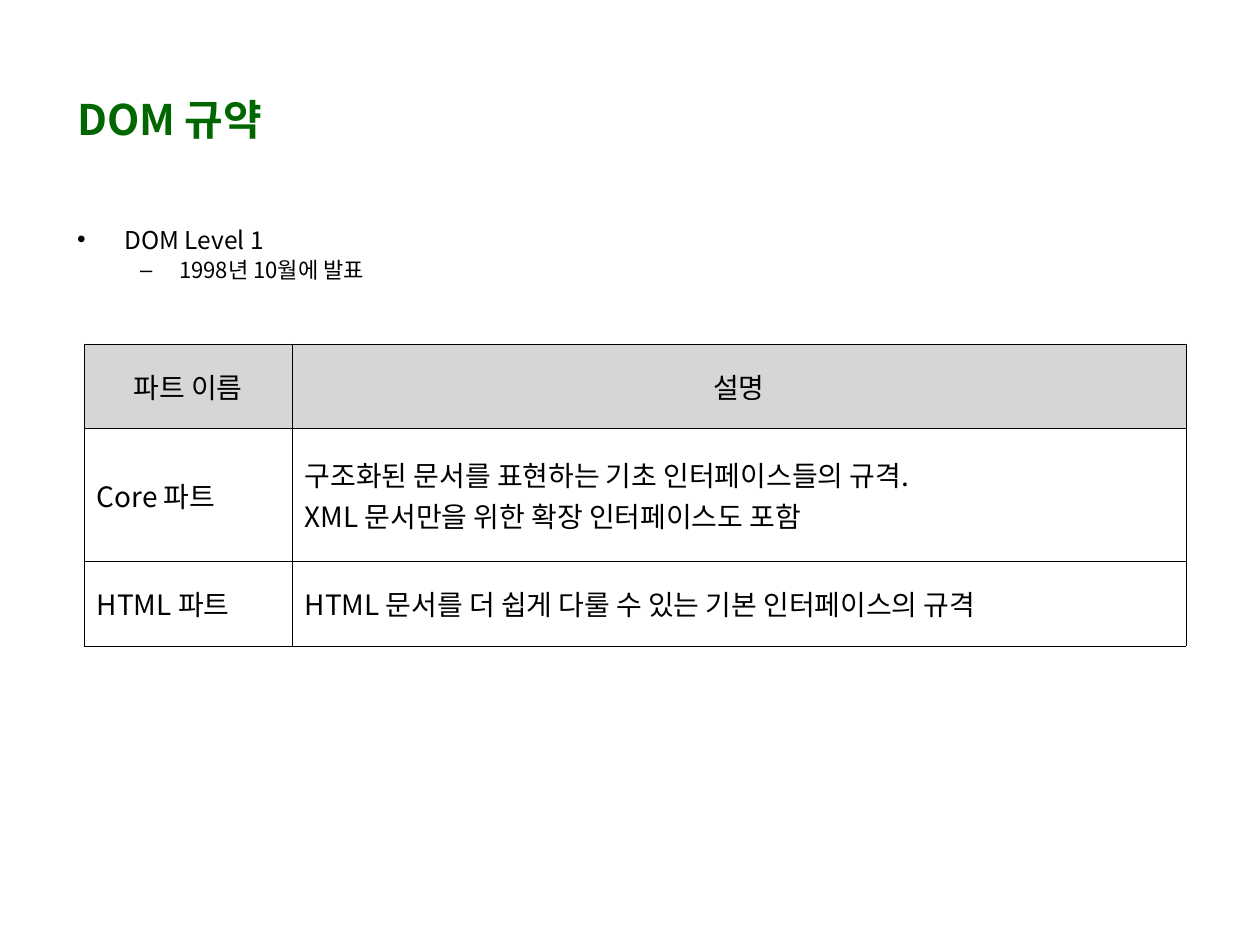
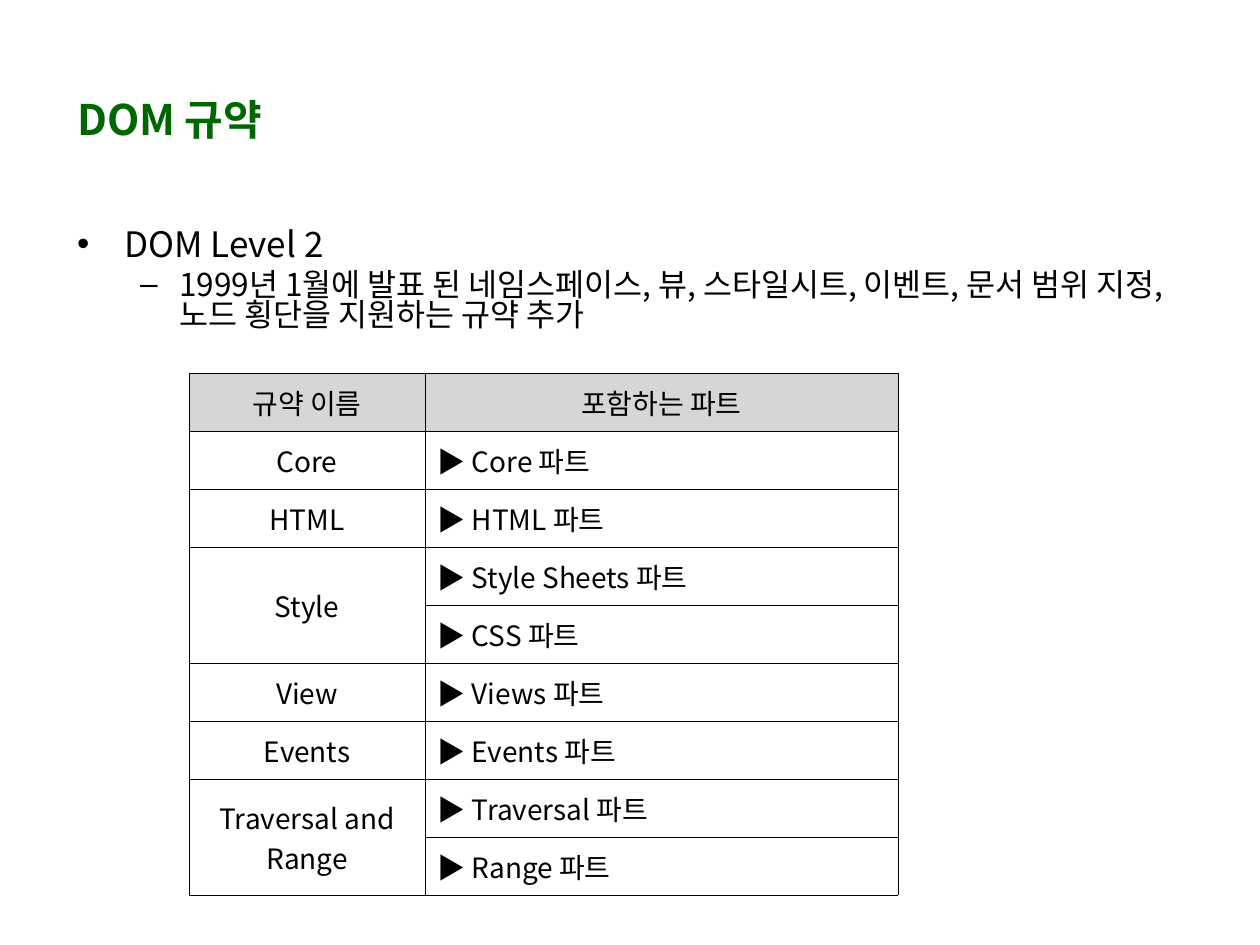
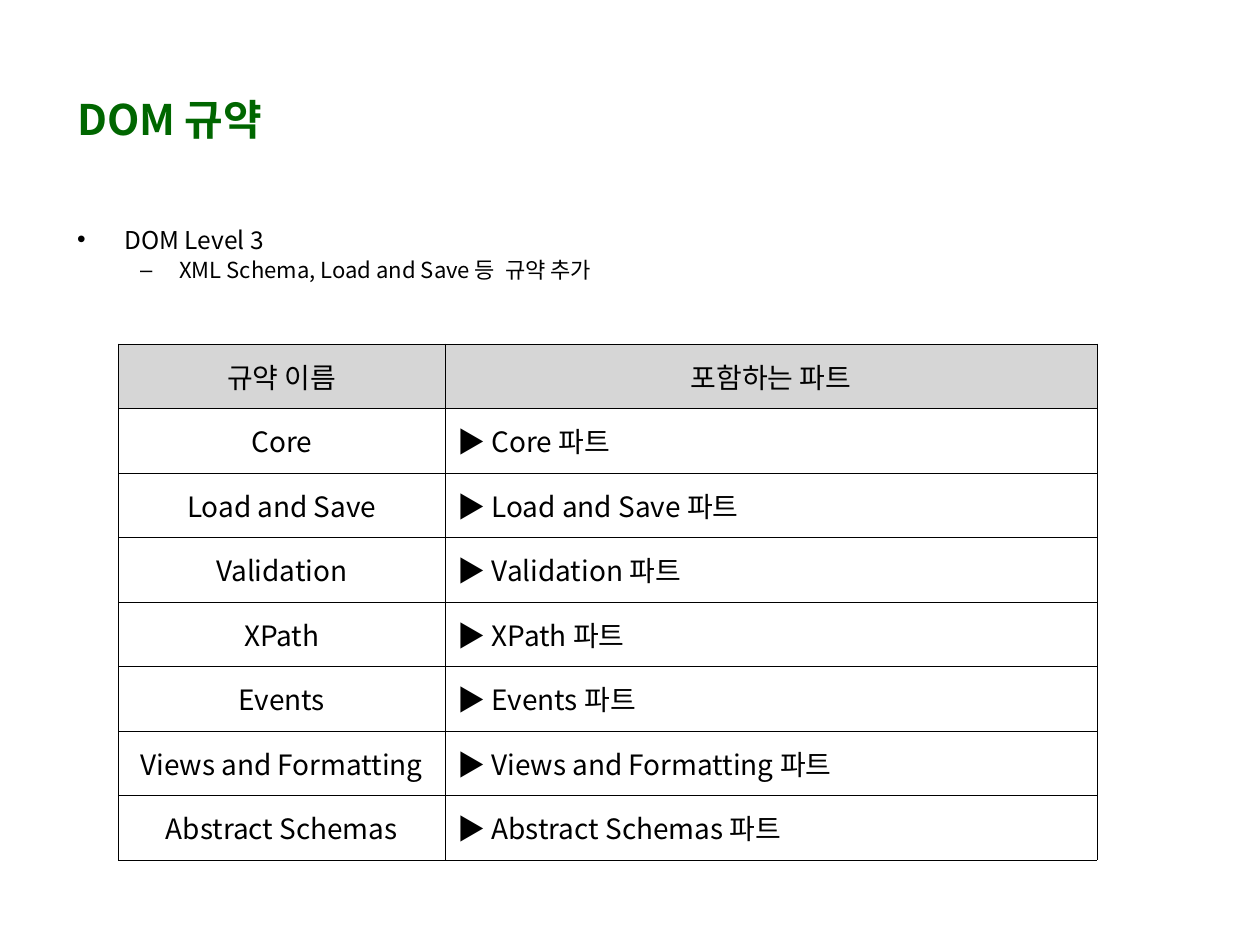
"""Build three slides on the DOM specification levels."""
from lxml.etree import SubElement
from pptx import Presentation
from pptx.dml.color import RGBColor as Rgb
from pptx.enum.text import MSO_ANCHOR as Anchor, MSO_AUTO_SIZE as Fit, PP_ALIGN as Align
from pptx.oxml import parse_xml
from pptx.oxml.ns import nsdecls, qn
from pptx.util import Cm, Pt

FONT = "Noto Sans CJK KR"
HUE = {"title": "006600", "text": "000000", "line": "000000", "head": "D6D6D6", "cell": "FFFFFF"}
LEVELS = [("•", 0.95, -0.95, 5), ("–", 2.06, -0.79, 4.5)]
HEADS = ("규약 이름", "포함하는 파트")
EDGES = ("lnL", "lnR", "lnT", "lnB")


def add_text(para, text, size, hue="text", bold=False):
    run = para.add_run()
    run.text = text
    font = run.font
    font.size, font.bold = Pt(size), bold
    font.color.rgb = Rgb.from_string(HUE[hue])
    font.name = FONT
    SubElement(font._element, qn("a:ea"), typeface=FONT)


def fill_cell(cell, text, hue, align):
    cell.fill.solid()
    cell.fill.fore_color.rgb = Rgb.from_string(HUE[hue])
    cell.vertical_anchor = Anchor.MIDDLE
    props = cell._tc.get_or_add_tcPr()
    for i, edge in enumerate(EDGES):
        props.insert(i, parse_xml(
            f'<a:{edge} {nsdecls("a")} w="{Pt(0.06)}"><a:solidFill>'
            f'<a:srgbClr val="{HUE["line"]}"/></a:solidFill></a:{edge}>'))
    for i, line in enumerate(text.split("\n") if text else []):
        para = cell.text_frame.add_paragraph() if i else cell.text_frame.paragraphs[0]
        para.alignment = align
        add_text(para, line, 16)


two = [("Core", "Core"), ("HTML", "HTML"), ("Style", "Style Sheets"), ("", "CSS"),
       ("View", "Views"), ("Events", "Events"),
       ("Traversal and Range", "Traversal"), ("", "Range")]
three = ["Core", "Load and Save", "Validation", "XPath", "Events",
         "Views and Formatting", "Abstract Schemas"]
pages = [
    {"list": [("DOM Level 1", 14), ("1998년 10월에 발표", 12.6)], "tall": 1.6,
     "at": (1.7, 6.93), "cols": (4.19, 18.01), "rows": [1.7, 2.69, 1.7], "align": Align.LEFT,
     "data": [("파트 이름", "설명"),
              ("Core 파트", "구조화된 문서를 표현하는 기초 인터페이스들의 규격.\n"
                          "XML 문서만을 위한 확장 인터페이스도 포함"),
              ("HTML 파트", "HTML 문서를 더 쉽게 다룰 수 있는 기본 인터페이스의 규격")]},
    {"list": [("DOM Level 2", 20),
              ("1999년 1월에 발표 된 네임스페이스, 뷰, 스타일시트, 이벤트, 문서 범위 지정, "
               "노드 횡단을 지원하는 규약 추가", 18)], "tall": 3,
     "at": (3.81, 7.52), "cols": (4.76, 9.53), "rows": [1.17] * 9, "align": Align.CENTER,
     "data": [HEADS] + [(name, f"▶ {part} 파트") for name, part in two]},
    {"list": [("DOM Level 3", 14), ("XML Schema, Load and Save 등  규약 추가", 12.6)], "tall": 1.6,
     "at": (2.39, 6.93), "cols": (6.58, 13.15), "rows": [1.3] * 8, "align": Align.CENTER,
     "data": [HEADS] + [(name, f"▶ {name} 파트") for name in three]},
]

deck = Presentation()
deck.slide_width, deck.slide_height = Cm(25.4), Cm(19.05)

for page in pages:
    slide = deck.slides.add_slide(deck.slide_layouts[1])
    title, body = slide.placeholders
    spots = [(title, (1.3, 1.52, 15.21, 1.75)), (body, (1.3, 4.52, 22.86, page["tall"]))]
    for box, spot in spots:
        box.left, box.top, box.width, box.height = map(Cm, spot)
        box.text_frame.auto_size = Fit.NONE
        box.text_frame.word_wrap = True

    title.text_frame.vertical_anchor = Anchor.MIDDLE
    para = title.text_frame.paragraphs[0]
    para.alignment = Align.LEFT
    add_text(para, "DOM 규약", 24, "title", True)

    for i, (text, size) in enumerate(page["list"]):
        para = body.text_frame.add_paragraph() if i else body.text_frame.paragraphs[0]
        mark, left, hang, gap = LEVELS[i]
        para.level = i
        para.line_spacing = 0.8
        para.space_before = Pt(gap)
        props = para._p.get_or_add_pPr()
        props.set("marL", str(Cm(left)))
        props.set("indent", str(Cm(hang)))
        SubElement(props, qn("a:buChar"), char=mark)
        add_text(para, text, size)

    cols, rows = page["cols"], page["rows"]
    left, top = page["at"]
    table = slide.shapes.add_table(len(rows), len(cols), Cm(left), Cm(top),
                                   Cm(sum(cols)), Cm(sum(rows))).table
    table.first_row = table.horz_banding = False
    for col, width in zip(table.columns, cols):
        col.width = Cm(width)
    for row, height in zip(table.rows, rows):
        row.height = Cm(height)
    for r, line in enumerate(page["data"]):
        for c, text in enumerate(line):
            align = Align.CENTER if r == 0 else (page["align"], Align.LEFT)[c]
            fill_cell(table.cell(r, c), text, "cell" if r else "head", align)
        if not line[0]:
            table.cell(r - 1, 0).merge(table.cell(r, 0))

deck.save("out.pptx")
